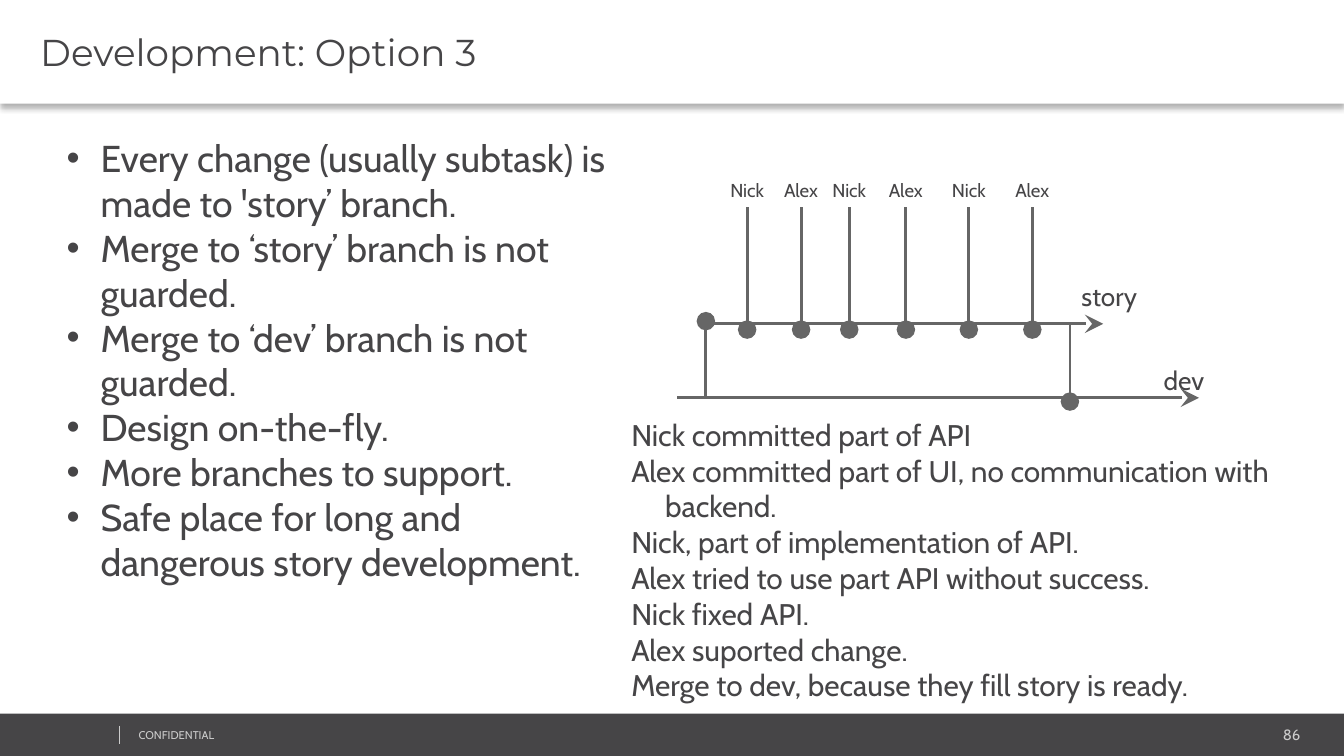
from lxml import etree
from pptx import Presentation
from pptx.dml.color import RGBColor
from pptx.enum.shapes import MSO_CONNECTOR, MSO_SHAPE
from pptx.enum.text import MSO_ANCHOR, MSO_AUTO_SIZE, PP_ALIGN
from pptx.oxml import parse_xml
from pptx.oxml.ns import nsdecls, qn
from pptx.util import Cm, Pt

DARK = RGBColor(0x46, 0x45, 0x47)
GRAY = RGBColor(0x66, 0x66, 0x66)
LIGHT = RGBColor(0xCC, 0xCC, 0xCC)
WHITE = RGBColor(0xFF, 0xFF, 0xFF)
STRAIGHT = MSO_CONNECTOR.STRAIGHT
RECTANGLE = MSO_SHAPE.RECTANGLE
TOP, MIDDLE = MSO_ANCHOR.TOP, MSO_ANCHOR.MIDDLE
LEFT, CENTER, RIGHT = PP_ALIGN.LEFT, PP_ALIGN.CENTER, PP_ALIGN.RIGHT
NO_AUTOFIT = MSO_AUTO_SIZE.NONE


def write(box, lines, area, size, font="Cabin", color=DARK, align=LEFT, anchor=TOP,
          inset=(0.25, 0.25, 0.25, 0.25), listed=False, bullet=None):
    """Place a box at area (left, top, width, height in cm) and fill it with lines."""
    box.left, box.top, box.width, box.height = [Cm(value) for value in area]
    frame = box.text_frame
    frame.word_wrap = True
    frame.auto_size = NO_AUTOFIT
    frame.vertical_anchor = anchor
    (frame.margin_left, frame.margin_top,
     frame.margin_right, frame.margin_bottom) = [Cm(value) for value in inset]
    for index, line in enumerate(lines):
        para = frame.paragraphs[0] if index == 0 else frame.add_paragraph()
        if listed:
            properties = para._p.get_or_add_pPr()
            properties.set("marL", str(Cm(1.27)))
            properties.set("indent", str(Cm(-0.64)))
            if bullet:
                etree.SubElement(properties, qn("a:buChar")).set("char", bullet)
            else:
                etree.SubElement(properties, qn("a:buNone"))
        para.alignment = align
        para.space_before = Pt(0)
        span = para.add_run()
        span.text = line
        span.font.name = font
        span.font.size = Pt(size)
        span.font.color.rgb = color


def draw_line(start, end, color=GRAY, width=1.5, head=None, tail=None):
    """Draw from start to end (cm), with an optional end mark at either point."""
    line = slide.shapes.add_connector(STRAIGHT, *[Cm(value) for value in start + end])
    line.line.color.rgb = color
    line.line.width = Pt(width)
    outline = line.line._get_or_add_ln()
    for tag, mark in (("a:headEnd", head), ("a:tailEnd", tail)):
        if mark:
            etree.SubElement(outline, qn(tag), type=mark, w="lg", len="lg")
    etree.SubElement(line._element.spPr, qn("a:effectLst"))


deck = Presentation()
deck.slide_width, deck.slide_height = Cm(25.4), Cm(14.29)
slide = deck.slides.add_slide(deck.slide_layouts[3])
title, points, history = slide.placeholders

# Footer
footer = slide.shapes.add_shape(RECTANGLE, Cm(0), Cm(13.49), Cm(25.4), Cm(0.8))
footer.shadow.inherit = False
footer.fill.solid()
footer.fill.fore_color.rgb = DARK
footer.line.fill.background()
footer_inset = (0.18, 0.1, 0.18, 0.1)
for text, area, size, align in (
    ("86", (20.62, 13.61, 4.14, 0.53), 8, RIGHT),
    ("CONFIDENTIAL", (2.44, 13.67, 6.43, 0.46), 6, LEFT),
):
    box = slide.shapes.add_textbox(0, 0, 0, 0)
    write(box, [text], area, size, color=LIGHT, align=align, inset=footer_inset)
draw_line((2.26, 13.72), (2.26, 14.07), color=LIGHT, width=0.25)

# Title bar with a soft shadow below
write(title, ["Development: Option 3"], (0, 0, 25.4, 1.96), 20, font="Montserrat",
      anchor=MIDDLE, inset=(0.76, 0.1, 0.18, 0.1))
title.fill.solid()
title.fill.fore_color.rgb = WHITE
title.shadow.inherit = False
title._element.spPr.find(qn("a:effectLst")).append(parse_xml(
    f'<a:outerShdw {nsdecls("a")} blurRad="{Pt(3.1)}" dist="{Pt(2)}" dir="5400000" '
    'algn="t" rotWithShape="0"><a:srgbClr val="000000"><a:alpha val="30000"/>'
    '</a:srgbClr></a:outerShdw>'))

# Lists
write(points, [
    "Every change (usually subtask) is made to 'story’ branch.",
    "Merge to ‘story’ branch is not guarded.",
    "Merge to ‘dev’ branch is not guarded.",
    "Design on-the-fly.",
    "More branches to support.",
    "Safe place for long and dangerous story development.",
], (0.38, 2.31, 11.58, 10.24), 20, listed=True, bullet="•")
write(history, [
    "Nick committed part of API",
    "Alex committed part of UI, no communication with backend.",
    "Nick, part of implementation of API.",
    "Alex tried to use part API without success.",
    "Nick fixed API.",
    "Alex suported change.",
    "Merge to dev, because they fill story is ready.",
], (11.05, 7.62, 14.53, 6.65), 16, listed=True)

# Branches, with the fork from dev and the merge back
STORY_Y, DEV_Y = 6.12, 7.52
draw_line((13.36, STORY_Y), (20.85, STORY_Y), tail="stealth")
draw_line((12.8, DEV_Y), (22.66, DEV_Y), tail="stealth")
draw_line((13.34, 6.07), (13.34, DEV_Y), head="oval")
draw_line((20.22, 6.15), (20.22, 7.59), tail="oval")
for name, left, top in (("story", 20.19, 5.05), ("dev", 21.74, 6.63)):
    box = slide.shapes.add_textbox(0, 0, 0, 0)
    write(box, [name], (left, top, 1.98, 0.69), 14)

# Commits on the story branch
LABEL_WIDTH = 1.37
for index, x in enumerate((14.12, 15.14, 16.05, 17.12, 18.31, 19.51)):
    draw_line((x, 3.92), (x, 6.23), tail="oval")
    box = slide.shapes.add_textbox(0, 0, 0, 0)
    write(box, [("Nick", "Alex")[index % 2]],
          (x - LABEL_WIDTH / 2, 3.35, LABEL_WIDTH, 0.48), 10, align=CENTER, anchor=MIDDLE)

deck.save("out.pptx")
